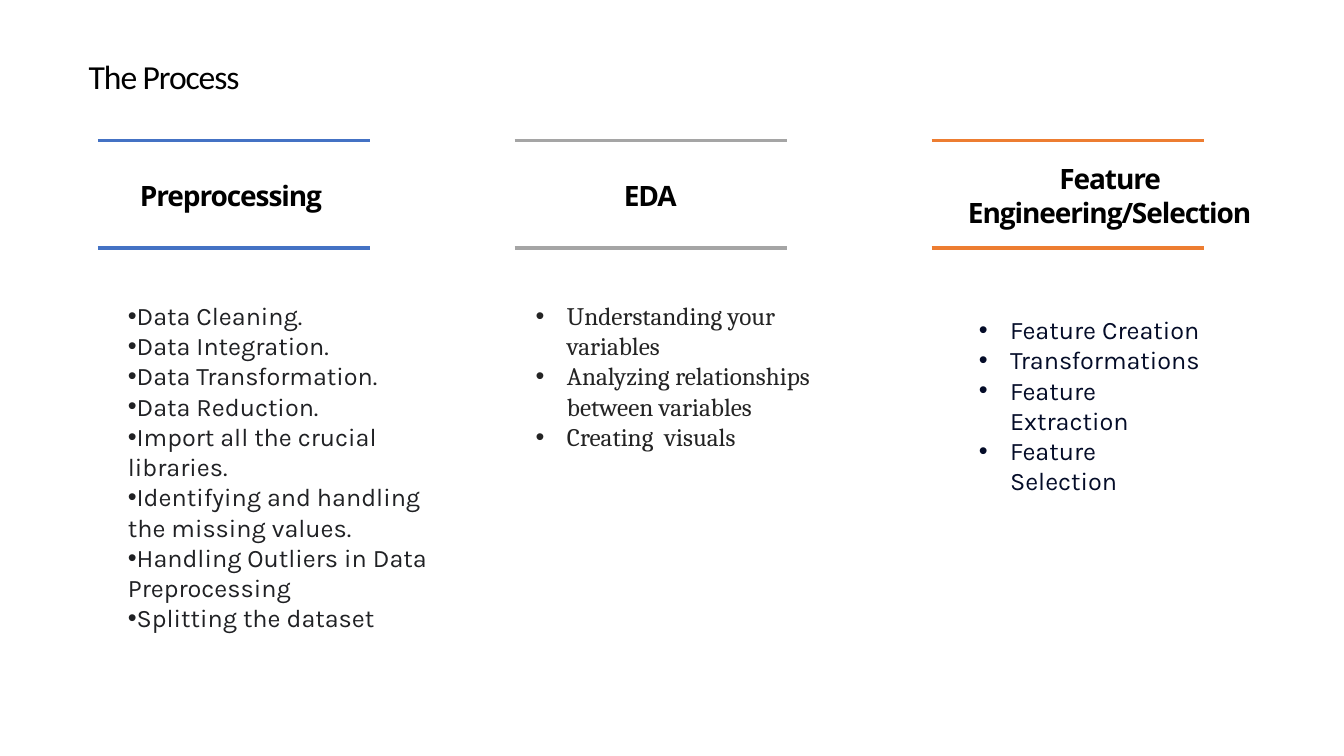
from dataclasses import dataclass
from pptx import Presentation
from pptx.dml.color import RGBColor as Rgb
from pptx.enum.shapes import MSO_CONNECTOR as Conn
from pptx.enum.text import MSO_ANCHOR as Anchor, PP_ALIGN as Align
from pptx.oxml.ns import qn
from pptx.util import Inches, Pt
from lxml.etree import SubElement as Sub


@dataclass(frozen=True)
class Theme:
    """Hold the colours, fonts and type sizes."""
    ink: str = "000000"
    blue: str = "4472C4"
    grey: str = "A5A5A5"
    orange: str = "ED7D31"
    title: tuple = ("Calibri", 24)
    head: tuple = ("Open Sans", 20)
    size: int = 18
    rule: float = 2.25
    track: int = -80


LOOK = Theme()
WIDE, HIGH = 13.33, 7.5
LEFT, STEP, SPAN = 0.97, 4.135, 2.7
TOP, DEEP = 1.39, 1.07
COLS = [
    dict(tone=LOOK.blue, name="Preprocessing", head=(0.17, 2.3),
         body=(0.2, 2.93, 3.21, 3.74), font="Karla", ink="202124", hang=0,
         items=["Data Cleaning.", "Data Integration.", "Data Transformation.",
                "Data Reduction.", "Import all the crucial libraries.",
                "Identifying and handling the missing values.",
                "Handling Outliers in Data Preprocessing",
                "Splitting the dataset"]),
    dict(tone=LOOK.grey, name="EDA", head=(-0.21, 3.11),
         body=(0.11, 2.93, 3.11, 1.92), font="Cambria", ink="242424", hang=0.31,
         items=["Understanding your variables",
                "Analyzing relationships between variables",
                "Creating  visuals"]),
    dict(tone=LOOK.orange, name="Feature Engineering/Selection", head=(0.31, 2.91),
         body=(0.37, 3.07, 2.42, 1.92), font="Karla", ink="040C28", hang=0.31,
         items=["Feature Creation", "Transformations",
                "Feature Extraction", "Feature Selection"]),
]


def put(item, **vals):
    """Set attributes from format values."""
    for key, val in vals.items():
        setattr(item, key, val)


def write(slide, box, lines, face, ink, bold=False, track=0, **frame):
    """Add a text box at the given box and return its paragraphs."""
    text = slide.shapes.add_textbox(*map(Inches, box)).text_frame
    put(text, word_wrap=True, **frame)
    text.text = "\n".join(lines)
    for para in text.paragraphs:
        run = para.runs[0]
        put(run.font, name=face[0], size=Pt(face[1]), bold=bold)
        run.font.color.rgb = Rgb.from_string(ink)
        if track:
            run.font._element.set("spc", str(track))
    return text.paragraphs


def rule(slide, x, y, wide, tone):
    """Draw a flat coloured rule."""
    ends = map(Inches, (x, y, x + wide, y))
    line = slide.shapes.add_connector(Conn.STRAIGHT, *ends)
    line.line.color.rgb = Rgb.from_string(tone)
    line.line.width = Pt(LOOK.rule)
    Sub(line._element.spPr, qn("a:effectLst"))


def title(slide, box):
    """Place the slide title in its box."""
    paras = write(slide, box, ["The Process"], LOOK.title, LOOK.ink,
                  track=LOOK.track, vertical_anchor=Anchor.BOTTOM,
                  margin_left=0, margin_right=0, margin_bottom=0)
    paras[0].line_spacing = 0.9


def header(slide, box, col):
    """Place a heading between two rules."""
    x, y, wide, high = box
    for edge in (y, y + high):
        rule(slide, x, edge, wide, col["tone"])
    shift, span = col["head"]
    paras = write(slide, (x + shift, y + 0.15, span, 0.8), [col["name"]],
                  LOOK.head, LOOK.ink, bold=True, track=LOOK.track,
                  vertical_anchor=Anchor.MIDDLE, margin_left=0,
                  margin_right=0, margin_top=0, margin_bottom=0)
    put(paras[0], alignment=Align.CENTER, space_after=Pt(12))


def bullets(slide, box, col):
    """Place the bullet list of a column."""
    hang = Inches(col["hang"])
    for para in write(slide, box, col["items"], (col["font"], LOOK.size), col["ink"]):
        props = para._p.get_or_add_pPr()
        for key, val in dict(marL=hang, indent=-hang).items():
            props.set(key, str(val))
        Sub(props, qn("a:buFont")).set("typeface", "Arial")
        Sub(props, qn("a:buChar")).set("char", "•")


def main():
    """Build and save the slide."""
    deck = Presentation()
    put(deck, slide_width=Inches(WIDE), slide_height=Inches(HIGH))
    slide = deck.slides.add_slide(deck.slide_layouts[6])
    title(slide, (0.88, 0.31, 0.85 * WIDE, 0.65))
    for rank, col in enumerate(COLS):
        x = LEFT + rank * STEP
        header(slide, (x, TOP, SPAN, DEEP), col)
        shift, *rest = col["body"]
        bullets(slide, (x + shift, *rest), col)
    deck.save("out.pptx")


if __name__ == "__main__":
    main()
